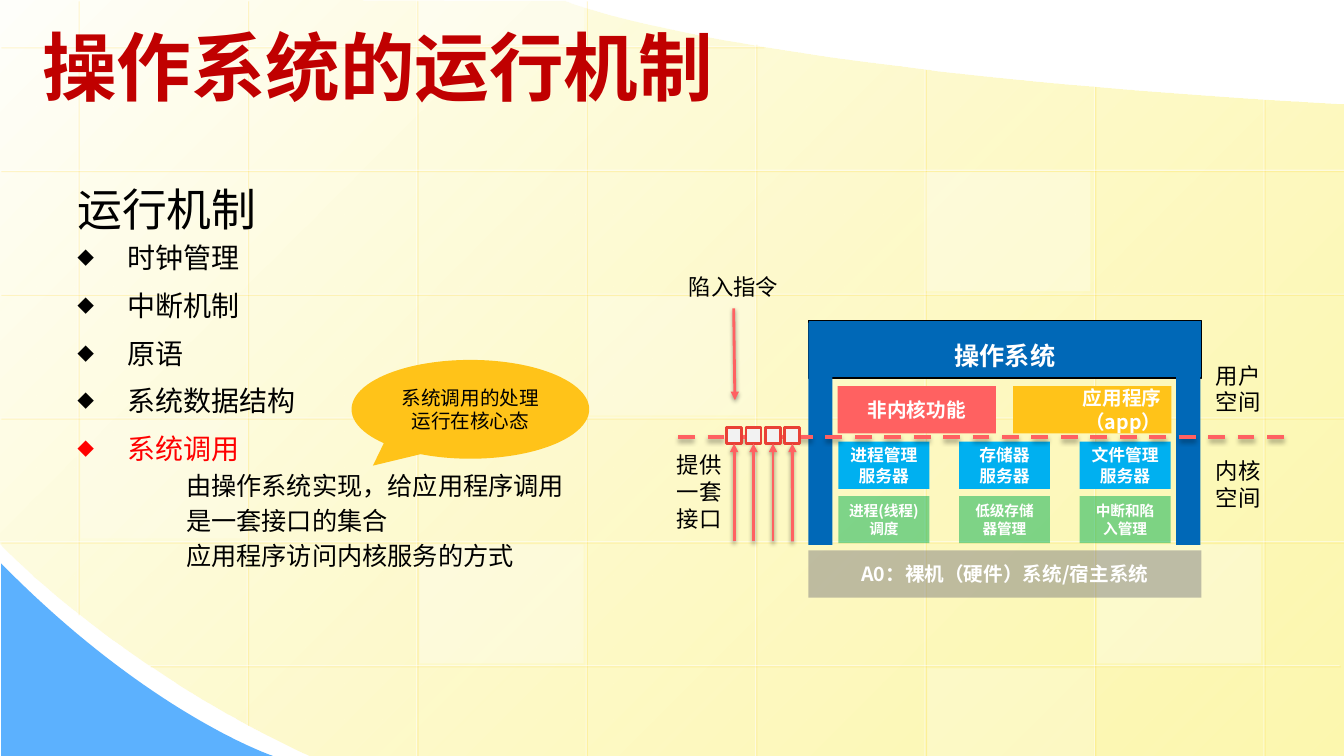
from lxml import etree
from pptx import Presentation
from pptx.dml.color import RGBColor
from pptx.enum.dml import MSO_LINE_DASH_STYLE
from pptx.enum.shapes import MSO_CONNECTOR, MSO_SHAPE
from pptx.enum.text import MSO_ANCHOR, MSO_AUTO_SIZE, PP_ALIGN
from pptx.oxml.ns import qn
from pptx.util import Cm, Pt

RECTANGLE = MSO_SHAPE.RECTANGLE
CALLOUT = MSO_SHAPE.OVAL_CALLOUT
STRAIGHT = MSO_CONNECTOR.STRAIGHT
DASH = MSO_LINE_DASH_STYLE.DASH
TOP, MIDDLE = MSO_ANCHOR.TOP, MSO_ANCHOR.MIDDLE
LEFT, CENTER, RIGHT = PP_ALIGN.LEFT, PP_ALIGN.CENTER, PP_ALIGN.RIGHT
FIT_SHAPE = MSO_AUTO_SIZE.SHAPE_TO_FIT_TEXT

THEME = {
    "sans": "Noto Sans CJK SC", "serif": "Times New Roman",
    "black": "000000", "white": "FFFFFF", "title": "C00000", "alert": "FF0000",
    "cream": "FFFFFB", "yellow": "FDF58D", "sky": "5CB1FE", "gold": "FFCC00",
    "blue": "0068B7", "coral": "FF6161", "amber": "FFC319", "cyan": "00B0F0",
    "green": "00B050", "grey": "808080", "pale": "F2F2F2", "port": "E94136",
    "title size": 53.3, "heading size": 32, "bullet size": 20, "detail size": 18,
    "label size": 16, "block size": 14, "server size": 12, "service size": 10.5,
}

TITLE = "操作系统的运行机制"
HEADING = "运行机制"
# text, colour, font, space before
BULLETS = [("时钟管理", "black", "sans", 4), ("中断机制", "black", "serif", 10),
           ("原语", "black", "serif", 10), ("系统数据结构", "black", "serif", 10),
           ("系统调用", "alert", "serif", 10)]
DETAILS = ["由操作系统实现，给应用程序调用", "是一套接口的集合", "应用程序访问内核服务的方式"]
CALLOUT_LINES = ["系统调用的处理", "运行在核心态"]
PROGRAMS = [("非内核功能", "coral", CENTER), ("应用程序（app）", "amber", RIGHT)]
SERVERS = [["进程管理", "服务器"], ["存储器", "服务器"], ["文件管理", "服务器"]]
SERVICES = ["进程(线程)调度", "低级存储器管理", "中断和陷入管理"]
SPACES = [(["用户", "空间"], 8.99), (["内核", "空间"], 11.4)]

# Start point, then segments: one point is a line, three points a curve
WAVE = [(33.87, 2.64), [(33.88, 19.05)], [(7.8, 19.05)],
        [(2.92, 16.79), (-0.03, 13.69), (0, 13.69)], [(-0.03, -0.03)], [(14.25, 0.03)],
        [(14.25, 0.03), (18.16, 1.75), (33.87, 2.64)]]
CORNER = [(0.03, 14.2), [(0.03, 19.05)], [(6.88, 19.05)],
          [(6.88, 19.05), (3.78, 18.01), (0.03, 14.2)]]
VERTICAL_SPANS = [(0, 15.47), (0, 18.26), (0, 19.05), (0, 19.1),
                  (1.09, 19.1), (1.73, 19.1), (2.16, 19.1), (2.49, 19.1)]
HORIZONTAL_SPANS = [(0, 19.23)] + [(0, 33.91)] * 4 + [(3.76, 33.76)]
# left, top, width, height, opacity
TILES = [(14.83, 7.47, 4.19, 3, 25), (27.64, 13.72, 4.14, 3, 30),
         (2.03, 10.57, 4.19, 3, 20), (23.37, 16.84, 4.19, 2.21, 20),
         (10.54, 0, 4.19, 1.12, 40), (10.57, 13.72, 4.14, 3, 30),
         (23.34, 4.34, 4.14, 3, 30)]
# colour, opacity, blur, distance, angle
GRID_SHADOW = ("gold", 34, 0, 1.4, 45)
DASH_SHADOW = ("black", 35, 3.1, 1.8, 90)
ARROW_SHADOW = ("black", 38, 3.1, 1.6, 90)


def rgb(name):
    return RGBColor.from_string(THEME[name])


def apply_format(target, values):
    for name, value in values.items():
        setattr(target, name, value)


def add_element(parent, tag, **attributes):
    return etree.SubElement(parent, qn(tag), attributes)


def set_opacity(shape, percent):
    """Make the colour set last on the shape translucent."""
    colour = list(shape._element.spPr.iter(qn("a:srgbClr")))[-1]
    add_element(colour, "a:alpha", val=str(percent * 1000))


def paint(shape, fill, opacity=100, line=None, line_width=1):
    shape.shadow.inherit = False
    shape.fill.solid()
    shape.fill.fore_color.rgb = rgb(fill)
    if opacity < 100:
        set_opacity(shape, opacity)
    if line:
        shape.line.color.rgb = rgb(line)
        shape.line.width = Pt(line_width)
    else:
        shape.line.fill.background()


def style_paragraph(paragraph, text, size, colour="black", font="sans", bold=False, **layout):
    run = paragraph.add_run()
    run.text = text
    apply_format(run.font, {"size": Pt(THEME[size]), "bold": bold, "name": THEME[font]})
    run.font.color.rgb = rgb(colour)
    add_element(run._r.get_or_add_rPr(), "a:ea", typeface=THEME["sans"])
    apply_format(paragraph, layout)


def new_paragraph(frame):
    return frame.add_paragraph() if frame.paragraphs[0].runs else frame.paragraphs[0]


def write(shape, lines, size, anchor=MIDDLE, **style):
    frame = shape.text_frame
    apply_format(frame, {"word_wrap": True, "vertical_anchor": anchor})
    for line in lines:
        style_paragraph(new_paragraph(frame), line, size, **style)


def add_block(shapes, box, fill, opacity=100, kind=RECTANGLE, **outline):
    shape = shapes.add_shape(kind, *map(Cm, box))
    paint(shape, fill, opacity, **outline)
    return shape


def add_label(shapes, box, lines):
    label = shapes.add_textbox(*map(Cm, box))
    write(label, lines, "label size", TOP, alignment=CENTER)
    label.text_frame.auto_size = FIT_SHAPE


def add_line(shapes, ends, colour, width, shadow, opacity=100, arrow=False, dash=None, target=None):
    connector = shapes.add_connector(STRAIGHT, *map(Cm, ends))
    if target is not None:
        connector.end_connect(target, 2)
    connector.line.color.rgb = rgb(colour)
    apply_format(connector.line, {"width": Pt(width), "dash_style": dash})
    if opacity < 100:
        set_opacity(connector, opacity)
    properties = connector._element.spPr
    if arrow:
        add_element(properties.find(qn("a:ln")), "a:tailEnd", type="triangle")
    tint, strength, blur, distance, angle = shadow
    outer = add_element(add_element(properties, "a:effectLst"), "a:outerShdw",
                        blurRad=str(Pt(blur)), dist=str(Pt(distance)),
                        dir=str(angle * 60000), algn="ctr", rotWithShape="0")
    add_element(add_element(outer, "a:srgbClr", val=THEME[tint]),
                "a:alpha", val=str(strength * 1000))


def curve_points(start, first, second, end, steps=40):
    for step in range(1, steps + 1):
        t = step / steps
        yield tuple((1 - t) ** 3 * a + 3 * (1 - t) ** 2 * t * b + 3 * (1 - t) * t * t * c + t ** 3 * d
                    for a, b, c, d in zip(start, first, second, end))


def add_outline(shapes, outline, fill):
    points = [outline[0]]
    for segment in outline[1:]:
        points += curve_points(points[-1], *segment) if len(segment) == 3 else segment
    corners = [(Cm(x), Cm(y)) for x, y in points]
    builder = shapes.build_freeform(*corners[0])
    builder.add_line_segments(corners[1:], close=True)
    shape = builder.convert_to_shape()
    paint(shape, fill)
    return shape


def draw_background(shapes):
    wave = add_outline(shapes, WAVE, "cream")
    wave.fill.gradient()
    wave.fill.gradient_angle = 315
    for stop, colour in zip(wave.fill.gradient_stops, ("cream", "yellow")):
        stop.color.rgb = rgb(colour)
    set_opacity(wave, 70)
    add_outline(shapes, CORNER, "sky")
    grid = shapes.add_group_shape().shapes
    lines = [(1.96 + 4.27 * i, top, 1.96 + 4.27 * i, bottom)
             for i, (top, bottom) in enumerate(VERTICAL_SPANS)]
    lines += [(right, 1.17 + 3.12 * i, left, 1.17 + 3.12 * i)
              for i, (left, right) in enumerate(HORIZONTAL_SPANS)]
    for ends in lines:
        add_line(grid, ends, "white", 0.75, GRID_SHADOW, opacity=50)
    for *box, opacity in TILES:
        add_block(shapes, box, "white", opacity)


def draw_text(shapes):
    body = shapes.add_textbox(Cm(1.7), Cm(4.45), Cm(30.48), Cm(12.57))
    write(body, [HEADING], "heading size", TOP)
    for text, colour, font, gap in BULLETS:
        paragraph = body.text_frame.add_paragraph()
        properties = paragraph._p.get_or_add_pPr()
        apply_format(paragraph, {"space_before": Pt(gap)})
        properties.set("marL", str(Cm(1.27)))
        properties.set("indent", str(Cm(-1.27)))
        add_element(properties, "a:buSzPct", val="60000")
        add_element(properties, "a:buFont", typeface=THEME["sans"])
        add_element(properties, "a:buChar", char="◆")
        style_paragraph(paragraph, text, "bullet size", colour, font)
    for text in DETAILS:
        paragraph = body.text_frame.add_paragraph()
        paragraph._p.get_or_add_pPr().set("marL", str(Cm(2.74)))
        style_paragraph(paragraph, text, "detail size", font="serif", space_before=Pt(3.6))
    title = shapes.add_textbox(Cm(0.81), Cm(0.36), Cm(30.48), Cm(2.57))
    write(title, [TITLE], "title size", colour="title", font="serif", bold=True, alignment=LEFT)


def draw_architecture(shapes):
    caption = {"colour": "white", "bold": True, "alignment": CENTER}
    hardware = add_block(shapes, (20.37, 13.87, 9.91, 1.19), "grey", 50)
    write(hardware, ["A0：裸机（硬件）系统/宿主系统"], "block size", **caption)
    system = add_block(shapes, (20.37, 8.08, 9.91, 1.45), "blue", line="black")
    write(system, ["操作系统"], "detail size", TOP, line_spacing=1.5, **caption)
    for i, (text, fill, alignment) in enumerate(PROGRAMS):
        program = add_block(shapes, (21.11 + 4.42 * i, 9.73, 3.99, 1.19), fill)
        write(program, [text], "block size", **{**caption, "alignment": alignment})
    for i, (server_lines, service) in enumerate(zip(SERVERS, SERVICES)):
        left = 21.13 + 3.04 * i
        write(add_block(shapes, (left, 11.13, 2.29, 1.19), "cyan"),
              server_lines, "server size", **caption)
        write(add_block(shapes, (left, 12.5, 2.29, 1.19), "green", 50),
              [service], "service size", **caption)
    for left in (20.37, 29.64):
        add_block(shapes, (left, 8.13, 0.61, 5.6), "blue")
    for lines, top in SPACES:
        add_label(shapes, (30, top, 2.41, 1.63), lines)
    add_line(shapes, (17.09, 11.02, 32.36, 11.02), "coral", 3, DASH_SHADOW, dash=DASH)


def draw_system_calls(shapes):
    callout = add_block(shapes, (8.86, 9.07, 5.99, 2.49), "amber", kind=CALLOUT)
    callout.adjustments[0], callout.adjustments[1] = -0.41, 0.57
    write(callout, CALLOUT_LINES, "block size", font="serif", alignment=CENTER)
    add_label(shapes, (16.64, 11.25, 1.96, 2.31), ["提供一套接口"])
    ports = shapes.add_group_shape().shapes
    for i in range(4):
        left = 18.31 + 0.49 * i
        port = add_block(ports, (left, 10.77, 0.38, 0.41), "pale", line="port", line_width=2)
        add_line(ports, (left + 0.19, 13.64, left + 0.19, 11.18), "coral", 2,
                 ARROW_SHADOW, arrow=True, target=port)
    add_line(shapes, (18.49, 7.77, 18.52, 10.08), "coral", 2, ARROW_SHADOW, arrow=True)
    add_label(shapes, (17.09, 6.76, 2.79, 0.94), ["陷入指令"])


def main():
    presentation = Presentation()
    apply_format(presentation, {"slide_width": Cm(33.87), "slide_height": Cm(19.05)})
    slide = presentation.slides.add_slide(presentation.slide_layouts[6])
    draw_background(slide.shapes)
    draw_text(slide.shapes)
    draw_architecture(slide.shapes.add_group_shape().shapes)
    draw_system_calls(slide.shapes)
    presentation.save("out.pptx")


if __name__ == "__main__":
    main()
